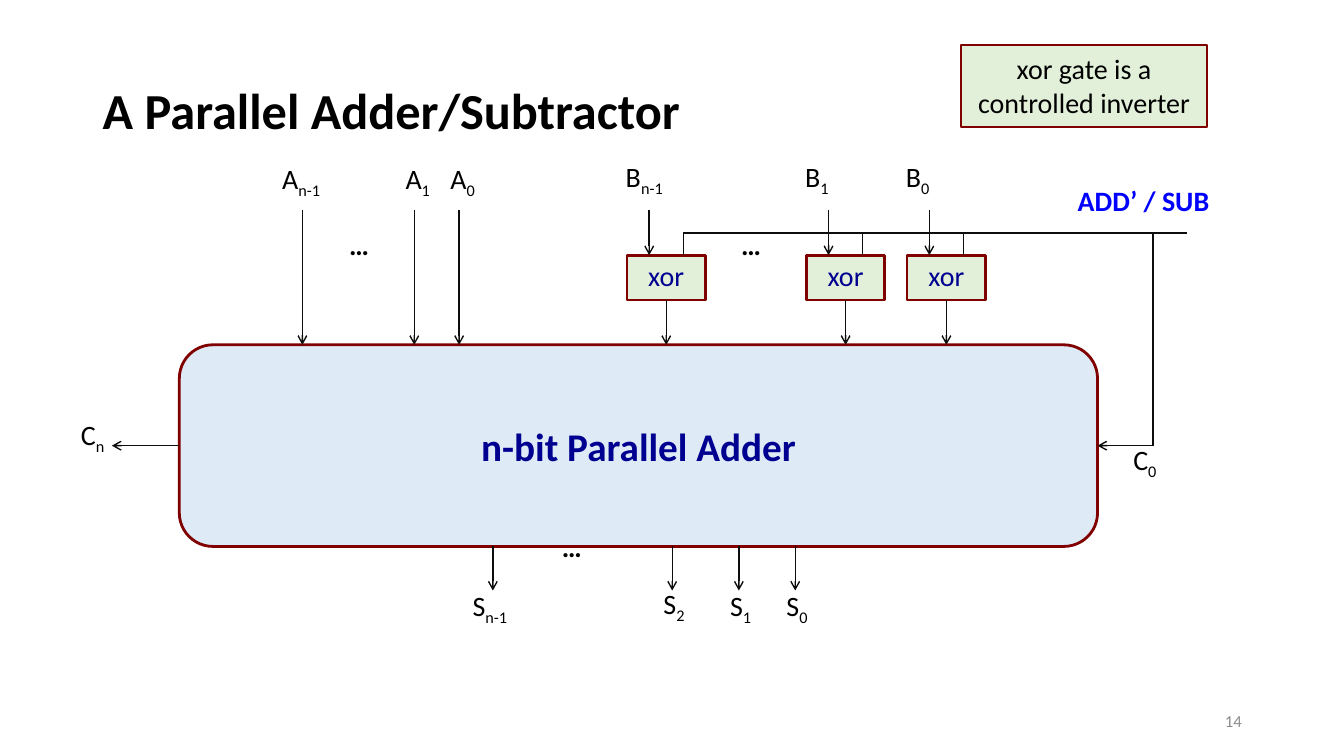
import pptx
import pptx.util
import pptx.dml.color
import pptx.enum.shapes
import pptx.enum.text
import pptx.oxml
import pptx.oxml.ns

Cm = pptx.util.Cm
Pt = pptx.util.Pt
SHAPE = pptx.enum.shapes.MSO_SHAPE
ALIGN = pptx.enum.text.PP_ALIGN
ANCHOR = pptx.enum.text.MSO_ANCHOR
WIDE = (0.34, 0.17, 0.34, 0.17)
NORMAL = (0.25, 0.13, 0.25, 0.13)
LABEL_H = 1.19
IN_TOP = 5.29
LABEL_TOP = 3.89
BUS_Y = 5.87
XOR_TOP, XOR_W, XOR_H = 6.43, 1.98, 1.13
ADDER_X, ADDER_Y, ADDER_W, ADDER_H = 4.52, 8.69, 23.14, 5.08
ADDER_MID = ADDER_Y + ADDER_H / 2
ADDER_END = ADDER_Y + ADDER_H


def color(value):
    return pptx.dml.color.RGBColor.from_string(value)


def add_run(p, text, size=20, fill="000000", bold=False, sub=False):
    r = p.add_run()
    r.text = text
    r.font.name = "Calibri"
    r.font.size = Pt(size)
    r.font.bold = bold
    r.font.color.rgb = color(fill)
    if sub:
        r.font._element.set("baseline", "-25000")


def set_frame(tf, insets, anchor, align):
    tf.word_wrap = True
    tf.margin_left, tf.margin_top, tf.margin_right, tf.margin_bottom = map(Cm, insets)
    tf.vertical_anchor = anchor
    p = tf.paragraphs[0]
    p.alignment = align
    return p


def add_text(shapes, box, insets=WIDE, anchor=ANCHOR.TOP, align=ALIGN.LEFT):
    sp = shapes.add_textbox(*map(Cm, box))
    return set_frame(sp.text_frame, insets, anchor, align)


def add_label(shapes, x, y, letter, index, insets=WIDE):
    width = 2.26 if len(index) > 1 else 1.69
    p = add_text(shapes, (x, y, width, LABEL_H), insets)
    add_run(p, letter)
    add_run(p, index, sub=True)


def add_box(shapes, kind, box, fill, weight, insets=WIDE, anchor=ANCHOR.MIDDLE):
    sp = shapes.add_shape(kind, *map(Cm, box))
    sp.shadow.inherit = False
    sp.fill.solid()
    sp.fill.fore_color.rgb = color(fill)
    sp.line.color.rgb = color("800000")
    sp.line.width = Pt(weight)
    return sp, set_frame(sp.text_frame, insets, anchor, ALIGN.CENTER)


def add_line(shapes, x1, y1, x2, y2, arrow=False):
    line = shapes.add_connector(
        pptx.enum.shapes.MSO_CONNECTOR.STRAIGHT, Cm(x1), Cm(y1), Cm(x2), Cm(y2))
    line.line.color.rgb = color("0D0D0D")
    line.line.width = Pt(1)
    if arrow:
        tail = pptx.oxml.parse_xml(
            "<a:tailEnd %s type='arrow'/>" % pptx.oxml.ns.nsdecls("a"))
        line.line._get_or_add_ln().append(tail)
    line._element.spPr.append(
        pptx.oxml.parse_xml("<a:effectLst %s/>" % pptx.oxml.ns.nsdecls("a")))
    return line


def label_offset(index):
    return 0.85 if len(index) > 1 else 0.56


def add_a_input(shapes, x, index):
    add_line(shapes, x, IN_TOP, x, ADDER_Y, arrow=True)
    add_label(shapes, x - label_offset(index), LABEL_TOP, "A", index)


def add_b_input(shapes, x, index):
    group = shapes.add_group_shape().shapes
    xor, p = add_box(group, SHAPE.RECTANGLE, (x, XOR_TOP, XOR_W, XOR_H),
                     "E2F0D9", 2, (0.25, 0, 0.25, 0.13))
    add_run(p, "xor", fill="000090")
    mid = x + XOR_W / 2
    out = add_line(group, mid, XOR_TOP + XOR_H, mid, ADDER_Y, arrow=True)
    out.begin_connect(xor, 2)
    add_line(group, x + 0.56, IN_TOP, x + 0.56, XOR_TOP, arrow=True)
    add_label(group, x - 0.28, LABEL_TOP, "B", index, NORMAL)
    add_line(group, x + 1.42, BUS_Y, x + 1.42, XOR_TOP)


def add_sum_output(shapes, x, index):
    add_line(shapes, x, ADDER_END, x, 14.88, arrow=True)
    add_label(shapes, x - label_offset(index), 14.61 if index == "2" else 14.66, "S", index)


def add_carries(shapes, adder):
    add_line(shapes, 17.22, BUS_Y, 29.92, BUS_Y)
    add_line(shapes, 29.06, BUS_Y, 29.06, ADDER_MID)
    carry_in = add_line(shapes, 29.06, ADDER_MID, ADDER_X + ADDER_W, ADDER_MID, arrow=True)
    carry_in.end_connect(adder, 3)
    add_label(shapes, 28.22, 10.97, "C", "0")
    carry_out = add_line(shapes, ADDER_X, ADDER_MID, 2.82, ADDER_MID, arrow=True)
    carry_out.begin_connect(adder, 1)
    add_label(shapes, 1.7, 10.36, "C", "n")


def main():
    prs = pptx.Presentation()
    prs.slide_width, prs.slide_height = Cm(33.87), Cm(19.05)
    s = prs.slides.add_slide(prs.slide_layouts[6])
    shapes = s.shapes

    p = add_text(shapes, (2.34, 1.02, 29.21, 3.68), NORMAL, ANCHOR.MIDDLE)
    p.line_spacing = 0.9
    add_run(p, "A Parallel Adder/Subtractor", 36, bold=True)
    p = add_text(shapes, (23.93, 17.65, 7.62, 1.02), NORMAL, ANCHOR.MIDDLE, ALIGN.RIGHT)
    add_run(p, "14", 12, "8C8C8C")

    adder, p = add_box(shapes, SHAPE.ROUNDED_RECTANGLE,
                       (ADDER_X, ADDER_Y, ADDER_W, ADDER_H), "DEEBF7", 2)
    add_run(p, "n-bit Parallel Adder", 28, "000090", True)

    for x, index in ((11.57, "0"), (10.44, "1"), (7.62, "n-1")):
        add_a_input(shapes, x, index)
    for x, index in ((22.86, "0"), (20.32, "1"), (15.8, "n-1")):
        add_b_input(shapes, x, index)
    add_carries(shapes, adder)
    for x, index in ((20.04, "0"), (18.62, "1"), (16.94, "2"), (12.42, "n-1")):
        add_sum_output(shapes, x, index)
    for x, y in ((13.82, 13.18), (18.34, 5.56), (8.46, 5.56)):
        add_run(add_text(shapes, (x, y, 2.54, LABEL_H)), "…", bold=True)

    p = add_text(shapes, (26.82, 4.45, 5.08, LABEL_H))
    add_run(p, "ADD’ / SUB", fill="0000FF", bold=True)
    note, p = add_box(shapes, SHAPE.RECTANGLE, (24.21, 1.14, 6.22, 2.06),
                      "E2F0D9", 1.5, anchor=ANCHOR.TOP)
    add_run(p, "xor gate is a controlled inverter")

    prs.save("out.pptx")


if __name__ == "__main__":
    main()
